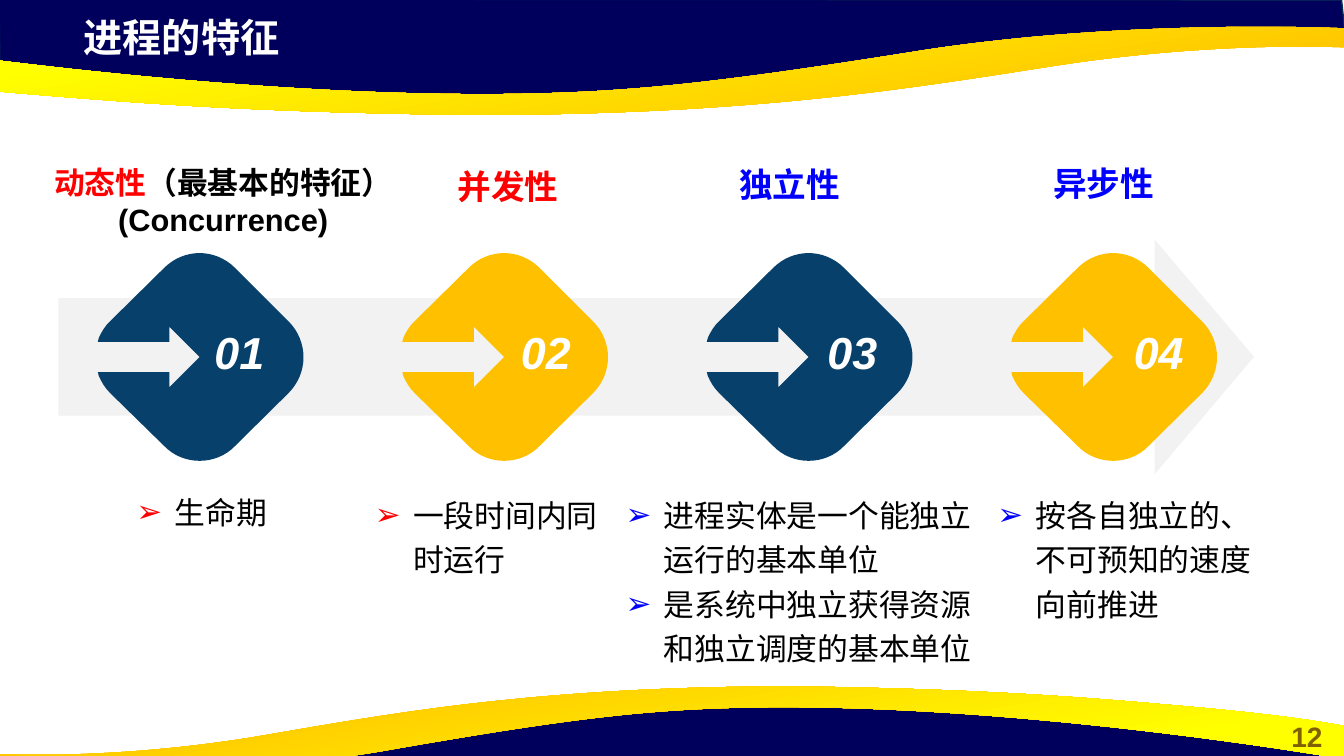
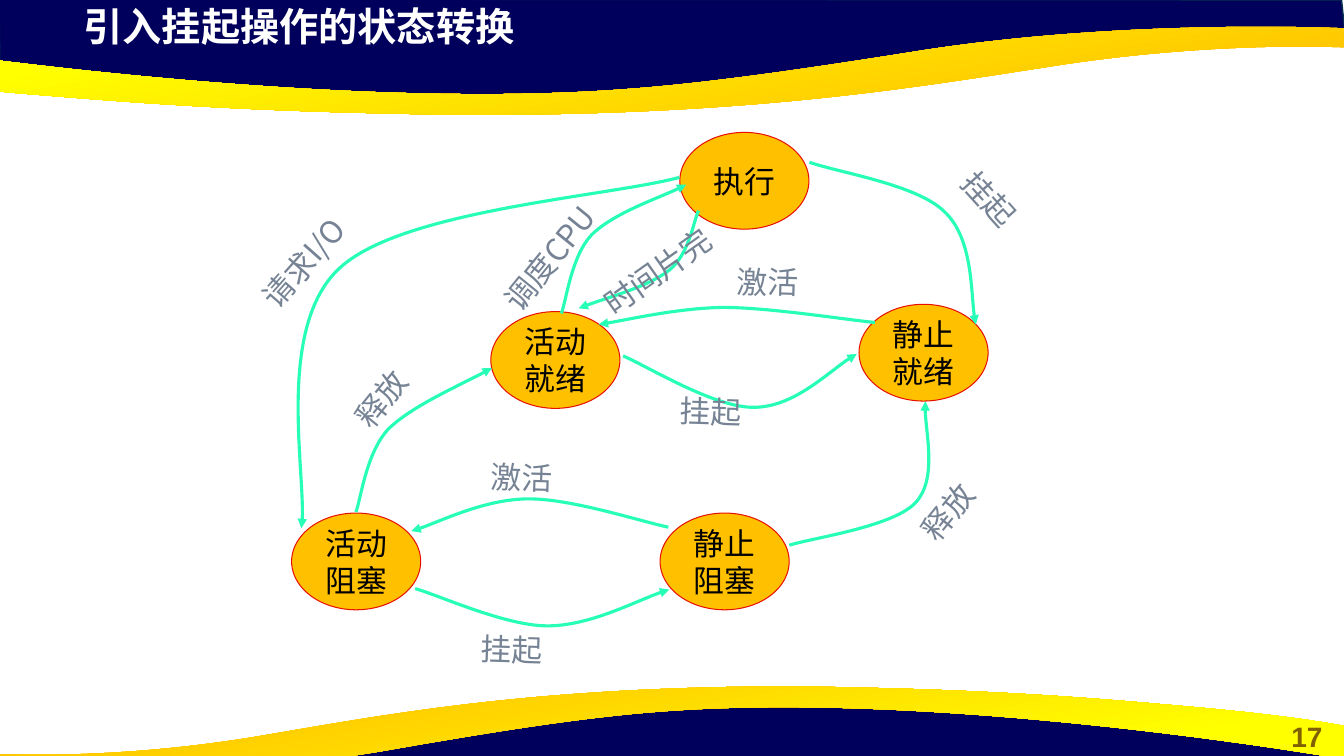
from math import cos, radians, sin
from typing import Callable, NamedTuple

from lxml import etree
from pptx import Presentation
from pptx.dml.color import RGBColor
from pptx.enum.shapes import MSO_SHAPE
from pptx.enum.text import MSO_ANCHOR, MSO_AUTO_SIZE, PP_ALIGN
from pptx.oxml.ns import qn
from pptx.util import Pt

LEFT, MID = PP_ALIGN.LEFT, PP_ALIGN.CENTER
TOP, CENTRE = MSO_ANCHOR.TOP, MSO_ANCHOR.MIDDLE
FIXED = MSO_AUTO_SIZE.NONE
OVAL, ARROW = MSO_SHAPE.OVAL, MSO_SHAPE.RIGHT_ARROW
SANS, HAN = "Arial", "Noto Sans CJK SC"
HEX = {
    "navy": "00005C", "edge": "05304F", "gold": "FFC000", "yellow": "FFFF00",
    "page": "806000", "white": "FFFFFF", "black": "000000", "red": "FF0000",
    "blue": "0000FF", "pale": "F2F2F2", "deep": "07416B", "rim": "E71101",
    "mint": "27FFB7", "slate": "768394",
}

# An outline is a list of steps: two numbers make a line, six a Bezier curve.
NAVY = [(-0.7, -0.7), (0, 50.4), (211, 73.4), (402.5, 72), (572.4, 63.4),
        (731.5, 36), (891.4, 23.8), (961.2, 27.4), (958.3, 0), (-0.7, -0.7)]
WAVE = [(347.8, 82.1), (319, 82.1, 288.7, 81.4, 256.3, 80.6),
        (148.3, 77.8, 79.2, 72, 25.9, 67.7),
        (-63.4, 60.5, -93.6, 54, -95.8, 54),
        (-95.8, 30.2, -95.8, 30.2, -95.8, 30.2),
        (-95.8, 30.2, 157, 70.6, 372.2, 67),
        (450.7, 65.5, 509.8, 59.8, 658.8, 36),
        (807.8, 13, 959.8, 20.2, 959.8, 20.2), (959.8, 23), (959.8, 33.8),
        (957.6, 33.8), (939.6, 33.1, 860.4, 31, 759.6, 46.1),
        (661, 61.2, 548.6, 81.4, 347.8, 82.1)]
GEM = [(0, -74.2), (9, -74.2, 18.4, -70.6, 25.5, -63.4), (63.4, -25.6),
       (77.8, -11.2, 77.8, 11.5, 63.4, 25.9), (25.5, 63.4),
       (11.9, 77.8, -11.9, 77.8, -25.5, 63.4), (-63.8, 25.9),
       (-67.5, 22.3, -70, 18, -72, 13.7), (-72.7, 10.8), (-21.6, 10.8),
       (-21.6, 21.6), (0, 0), (-21.6, -21.6), (-21.6, -10.8),
       (-72.7, -10.8), (-72, -13.7), (-70, -18, -67.5, -22.3, -63.8, -25.6),
       (-25.5, -63.4), (-18.4, -70.6, -9, -74.2, 0, -74.2)]


class Box(NamedTuple):
    x: float
    y: float
    w: float
    h: float


class Trait(NamedTuple):
    head: list
    spot: Box
    size: int
    side: PP_ALIGN
    hue: str
    gem: str
    items: list
    area: Box
    flow: PP_ALIGN = LEFT
    lead: float = 1


class State(NamedTuple):
    lines: list
    x: float
    y: float


class Move(NamedTuple):
    steps: list
    turn: float = 0
    mid: tuple = (0, 0)


class Label(NamedTuple):
    text: str
    box: Box
    turn: float


TRAITS = [
    Trait([[("动态性", "red"), ("（最基本的特征）", "black")],
           [("(Concurrence)", "black")]], Box(23, 113.5, 272.9, 31), 22, MID,
          "red", "deep", ["生命期"], Box(41.8, 343.8, 204.5, 115.2), MID),
    Trait(["并发性"], Box(319.7, 112.3, 137.5, 31), 24, LEFT, "red", "gold",
          ["一段时间内同时运行"], Box(260.6, 346, 178.6, 72.7), lead=1.1),
    Trait(["独立性"], Box(471.2, 113.5, 185.8, 31), 24, MID, "blue", "deep",
          ["进程实体是一个能独立运行的基本单位",
           "是系统中独立获得资源和独立调度的基本单位"],
          Box(439.6, 346, 265.7, 115.2)),
    Trait(["异步性"], Box(666.7, 113, 243.4, 31), 24, MID, "blue", "gold",
          ["按各自独立的、不可预知的速度向前推进"],
          Box(705.3, 346, 202.3, 115.2)),
]
STATES = [
    State(["活动", "阻塞"], 208.3, 366.5), State(["静止", "阻塞"], 471.5, 366.5),
    State(["静止", "就绪"], 613.6, 217.4), State(["执行"], 485.6, 94.6),
    State(["活动", "就绪"], 350.6, 222.6),
]
MOVES = [
    Move([(485.3, 126.7), (434.9, 140.4, 287.3, 149.8, 242.6, 191.5),
          (197.3, 233.3, 220.3, 346.3, 215.3, 377.3)]),
    Move([(578.2, 115.9), (598.3, 123.1, 655.2, 131.8, 674.6, 151.2),
          (694.8, 169.9, 693.4, 218.2, 697, 231.8)]),
    Move([(625, 230.4), (602.6, 228.2, 549.4, 219.6, 516.2, 219.6),
          (483.8, 220.3, 442.8, 229.7, 427.7, 231.8)]),
    Move([(445, 255.6), (460.8, 262.1, 510.5, 293, 538.6, 292.3),
          (566.6, 292.3, 596.9, 262.1, 612, 254.2)], 121, (528.1, 254.2)),
    Move([(254.2, 365.8), (257.8, 356.4, 261.4, 324, 277.2, 306.7),
          (293.8, 290.2, 335.5, 272.2, 351.4, 262.8)]),
    Move([(477.4, 376.6), (456.5, 372.2, 406.8, 355.7, 375.8, 356.4),
          (345.6, 357.1, 307.4, 375.8, 293.8, 379.4)]),
    Move([(563.8, 389.5), (578.9, 384.5, 637.2, 376.6, 653.8, 359.3),
          (669.6, 342.7, 659.5, 301.7, 661, 286.6)]),
    Move([(296.6, 420.5), (312.5, 424.8, 360.7, 447.1, 391, 447.1),
          (421.2, 447.1, 460.1, 426.2, 478.1, 421.2)]),
    Move([(401, 223.9), (404.6, 214.6, 408.2, 182.9, 422.6, 167.8),
          (437.8, 152.6, 475.9, 139.7, 490.3, 131.8)]),
    Move([(499, 150.5), (495.4, 157.7, 492.5, 181.4, 478.1, 193),
          (463.7, 204.5, 427, 214.6, 413.3, 220.3)]),
]
LABELS = [
    Label("挂起", Box(676.4, 127.4, 64.1, 33.8), 47.9),
    Label("请求I/O", Box(169.2, 164.2, 106.6, 33.8), 311.4),
    Label("激活", Box(519.1, 185, 92.2, 33.8), 1.7),
    Label("挂起", Box(478.8, 277.2, 92.2, 33.8), 1.7),
    Label("释放", Box(241.2, 263.5, 69.1, 33.8), 309),
    Label("激活", Box(343.4, 324.9, 92.2, 33.8), 1.7),
    Label("释放", Box(646, 344.2, 69.1, 33.8), 309),
    Label("挂起", Box(336.2, 447.8, 92.2, 33.8), 1.7),
    Label("调度CPU", Box(338.4, 160.6, 119.5, 33.8), 309),
    Label("时间片完", Box(415.4, 167, 136.1, 33.8), 324.7),
]


def tint(name: str) -> RGBColor:
    return RGBColor.from_string(HEX[name])


def paint(shape, fill: str | None, line: str | None = None, width: float = 1):
    shape.shadow.inherit = False
    if fill:
        shape.fill.solid()
        shape.fill.fore_color.rgb = tint(fill)
    else:
        shape.fill.background()
    if line:
        shape.line.color.rgb = tint(line)
        shape.line.width = Pt(width)
    else:
        shape.line.fill.background()


def place(shape, box: Box):
    shape.left, shape.top, shape.width, shape.height = map(Pt, box)


def mark(para, hue: str):
    """Give a paragraph a hanging arrow bullet."""
    props = para._p.get_or_add_pPr()
    props.set("marL", str(Pt(27.4)))
    props.set("indent", str(-Pt(27.4)))
    clr = etree.SubElement(props, qn("a:buClr"))
    etree.SubElement(clr, qn("a:srgbClr"), val=HEX[hue])
    etree.SubElement(props, qn("a:buFont"), typeface=SANS)
    etree.SubElement(props, qn("a:buChar"), char="➢")


def write(shape, lines: list, *, size: float, hue: str = "black",
          font: str = SANS, bold: bool = False, slant: bool = False,
          side: PP_ALIGN = LEFT, anchor: MSO_ANCHOR = TOP, wrap: bool = True,
          lead: float = 1, dot: str | None = None):
    """Fill a shape; a line is a string or a list of (text, colour) runs."""
    frame = shape.text_frame
    frame.auto_size, frame.word_wrap = FIXED, wrap
    frame.vertical_anchor = anchor
    for i, line in enumerate(lines):
        para = frame.add_paragraph() if i else frame.paragraphs[0]
        if dot:
            mark(para, dot)
        para.alignment, para.line_spacing = side, lead
        para.space_before = Pt(0)
        for text, shade in [(line, hue)] if isinstance(line, str) else line:
            run = para.add_run()
            run.text = text
            face = run.font
            face.size, face.bold, face.italic = Pt(size), bold, slant
            face.color.rgb = tint(shade)
            face.name = font
            etree.SubElement(run._r.get_or_add_rPr(), qn("a:ea"), typeface=HAN)


def note(slide, box: Box, lines: list, **look):
    shape = slide.shapes.add_textbox(*map(Pt, box))
    write(shape, lines, **look)
    return shape


def remap(steps: list, rule: Callable) -> list:
    """Apply a rule for (x, y) to every point of an outline."""
    return [sum((rule(*step[i:i + 2]) for i in range(0, len(step), 2)), ())
            for step in steps]


def draw(slide, steps: list, close: bool = True, turn: float = 0,
         mid: tuple = (0, 0)):
    """Draw an outline in a frame turned about its middle."""
    c, s, (mx, my) = cos(radians(turn)), sin(radians(turn)), mid
    if turn:
        steps = remap(steps, lambda x, y: (
            mx + (x - mx) * c + (y - my) * s, my - (x - mx) * s + (y - my) * c))
    dots = [(Pt(step[i]), Pt(step[i + 1]))
            for step in steps for i in range(0, len(step), 2)]
    pen = slide.shapes.build_freeform(*dots[0], scale=1.0)
    pen.add_line_segments(dots[1:], close=close)
    shape = pen.convert_to_shape()
    legs = shape.element.iter(qn("a:lnTo"))
    legs = iter(list(legs))
    for step in steps[1:]:
        leg = next(legs)
        if len(step) == 6:
            leg.addprevious(curve := etree.Element(qn("a:cubicBezTo")))
            for part in (leg, next(legs), next(legs)):
                curve.append(part[0])
                part.getparent().remove(part)
    shape.rotation = turn
    return shape


def dress(deck, slide):
    """Draw the waves and hand them to the master, below all else."""
    tail = remap(WAVE, lambda x, y: (959.8 - (x + 95.8) * 0.909, 572.4 - y))
    bands = []
    for crest, angle in ((WAVE, 100), (tail, 280)):
        dark = draw(slide, NAVY)
        paint(dark, "navy", "edge")
        if crest is tail:
            dark.left, dark.top, dark.rotation = Pt(-2.2), Pt(497.5), 180
        glow = draw(slide, crest)
        paint(glow, "gold")
        glow.fill.gradient()
        glow.fill.gradient_angle = angle
        stops = zip(glow.fill.gradient_stops, ("gold", "yellow"), (0.11, 0.78))
        for stop, name, spot in stops:
            stop.color.rgb, stop.position = tint(name), spot
        bands += [dark, glow]
    for i, band in enumerate(bands):
        deck.slide_master.shapes.element.insert(2 + i, band.element)


def start(deck, layout: int, title: str, top: float, page: str):
    slide = deck.slides.add_slide(deck.slide_layouts[layout])
    place(slide.shapes.title, Box(52.6, top, 553, 41))
    write(slide.shapes.title, [title], size=28, hue="white", bold=True)
    note(slide, Box(907.2, 510.5, 52.6, 31.7), [page], size=20, hue="page",
         bold=True, side=MID)
    return slide


def traits(slide):
    arrow = slide.shapes.add_shape(ARROW, *map(Pt, (41.8, 171, 853.9, 167.8)))
    arrow.adjustments[0], arrow.adjustments[1] = 0.5, 0.423
    paint(arrow, "pale")
    slots = [p for p in slide.placeholders if p.placeholder_format.idx]
    for i, (trait, slot) in enumerate(zip(TRAITS, slots)):
        mid = (142.4 + 217.5 * i, 254.9)
        outline = remap(GEM, lambda x, y: (mid[0] + x, mid[1] + y))
        paint(draw(slide, outline, turn=45, mid=mid), trait.gem)
        note(slide, Box(143.3 + 218.9 * i, 224.6, 55.4, 53.3), [f"{i + 1:02}"],
             size=32, hue="white", bold=True, slant=True, side=MID, anchor=CENTRE)
        note(slide, trait.spot, trait.head, size=trait.size, hue=trait.hue,
             bold=True, side=trait.side, lead=trait.lead)
        place(slot, trait.area)
        write(slot, trait.items, size=22, side=trait.flow, lead=1.2,
              dot=trait.hue)


def states(slide):
    for state in STATES:
        oval = slide.shapes.add_shape(
            OVAL, *map(Pt, (state.x, state.y, 92.2, 69.1)))
        paint(oval, "gold", "rim", 0.75)
        write(oval, state.lines, size=22, font=HAN, side=MID, anchor=CENTRE,
              wrap=False)
    for move in MOVES:
        curve = draw(slide, move.steps, False, move.turn, move.mid)
        paint(curve, None, "mint", 2.25)
        etree.SubElement(curve.line._get_or_add_ln(), qn("a:tailEnd"),
                         type="triangle")
    for label in LABELS:
        text = note(slide, label.box, [label.text], size=22, hue="slate",
                    font=HAN)
        text.rotation = label.turn


def main():
    deck = Presentation()
    deck.slide_width, deck.slide_height = Pt(960), Pt(540)
    slide = start(deck, 4, "进程的特征", 6.2, "12")
    dress(deck, slide)
    traits(slide)
    states(start(deck, 5, "引入挂起操作的状态转换", -2.2, "17"))
    deck.save("out.pptx")


if __name__ == "__main__":
    main()
